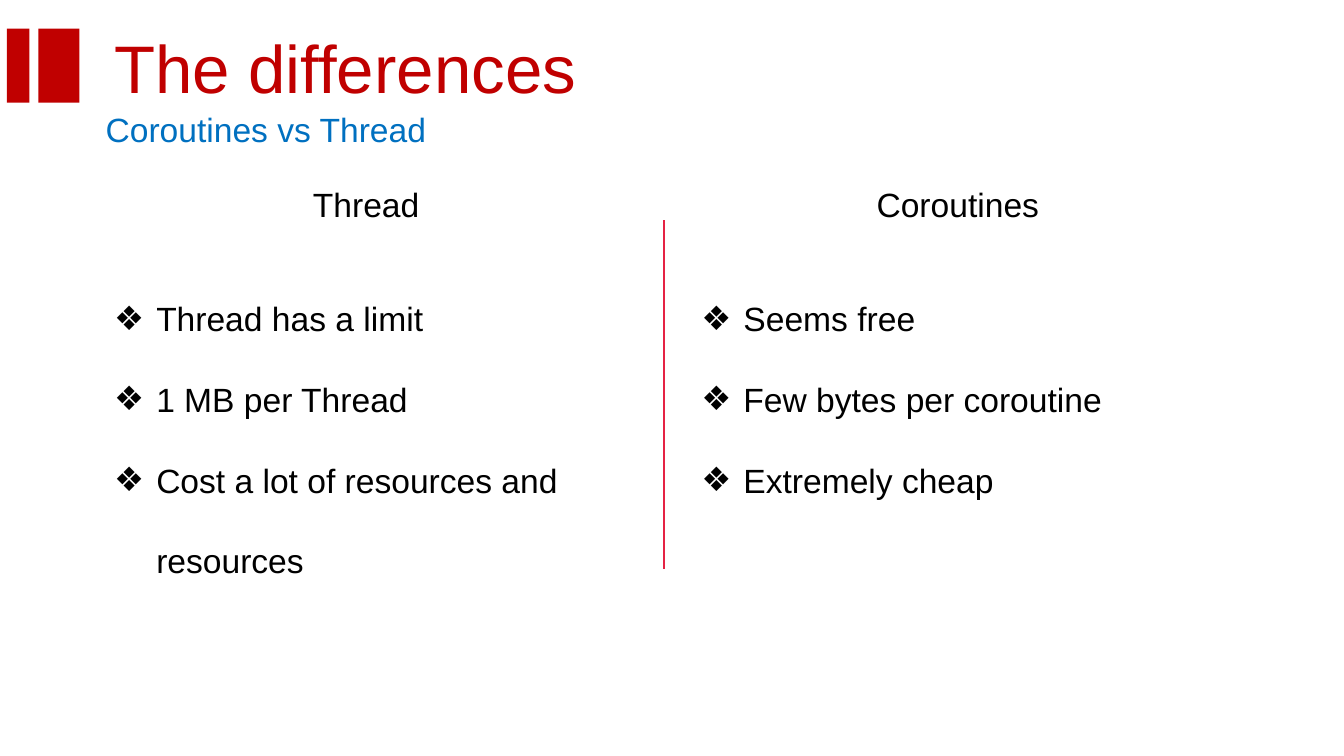
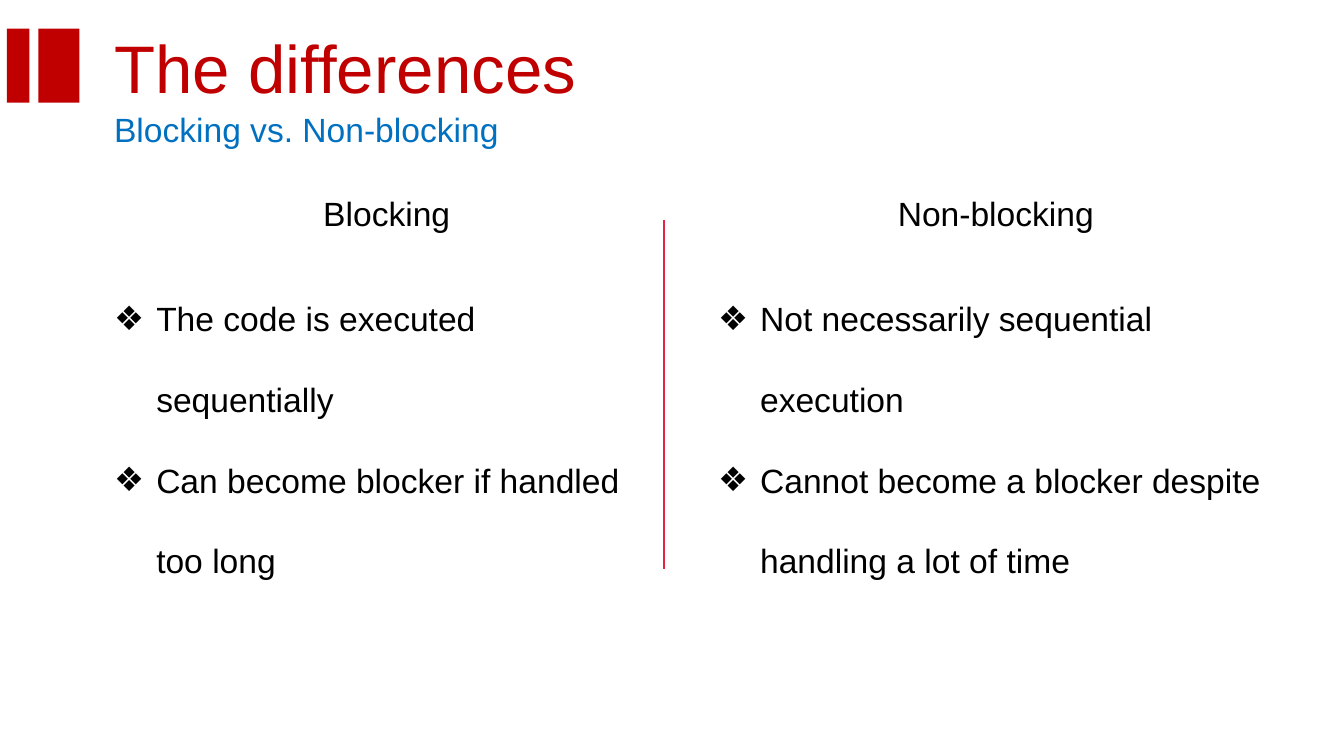
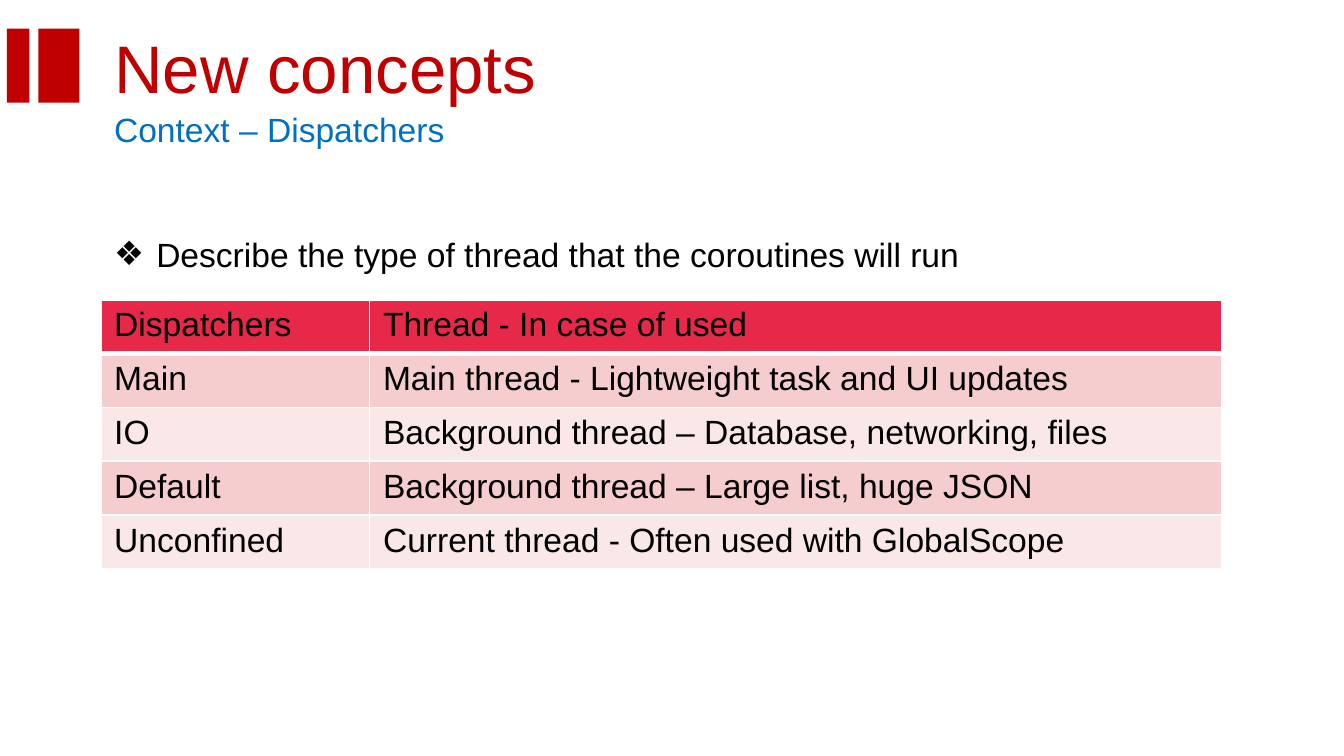
from lxml import etree
from pptx import Presentation
from pptx.dml.color import RGBColor
from pptx.enum.shapes import MSO_CONNECTOR, MSO_SHAPE
from pptx.enum.text import MSO_ANCHOR, MSO_AUTO_SIZE, PP_ALIGN
from pptx.oxml.ns import qn
from pptx.util import Pt

LEFT, CENTER = PP_ALIGN.LEFT, PP_ALIGN.CENTER
TOP, MIDDLE = MSO_ANCHOR.TOP, MSO_ANCHOR.MIDDLE
NO_AUTOFIT = MSO_AUTO_SIZE.NONE
RECTANGLE, STRAIGHT = MSO_SHAPE.RECTANGLE, MSO_CONNECTOR.STRAIGHT

# Shared style
FONT = "Arial"
TITLE_SIZE, TEXT_SIZE = 36, 18
RED = RGBColor(0xC0, 0x00, 0x00)
BLUE = RGBColor(0x00, 0x70, 0xC0)
BLACK = RGBColor(0x00, 0x00, 0x00)
WHITE = RGBColor(0xFF, 0xFF, 0xFF)
DIVIDER_RED = RGBColor(0xE5, 0x23, 0x44)
HEADER_RED = RGBColor(0xE6, 0x29, 0x49)
BAND_DARK = RGBColor(0xF5, 0xCD, 0xCF)
BAND_LIGHT = RGBColor(0xFA, 0xE7, 0xE8)

# Shared layout, in points
SLIDE_WIDTH, SLIDE_HEIGHT = 720, 405
MARGIN = 54
TITLE_TOP, TITLE_HEIGHT = 10.8, 49.7
SUBTITLE_TOP, LINE_HEIGHT = 54.7, 29
BAR_TOP, BAR_HEIGHT = 15.3, 39.7
BARS = [(3.7, 12), (20.6, 21.9)]  # left, width
BULLET, BULLET_INDENT = "❖", 22.5
DIVIDER_X, DIVIDER_TOP, DIVIDER_BOTTOM = 355.7, 118, 304.6
LIST_TOP, LIST_HEIGHT = 134.6, 185
HEADING_WIDTH = 193
TABLE_TOP, ROW_HEIGHT = 160.6, 28.8
COLUMN_WIDTHS = [144, 456.8]
THIN_BORDER, HEADER_BORDER = 0.96, 3

# Content
COMPARISONS = [
    {
        "title": "The differences",
        "subtitle": "Coroutines vs Thread",
        "subtitle_left": 49.5,
        "heading_top": 95,
        "columns": [
            {"heading": "Thread ", "heading_left": 102.2, "left": MARGIN, "width": 289.4,
             "items": ["Thread has a limit", "1 MB per Thread",
                       "Cost a lot of resources and resources"]},
            {"heading": "Coroutines", "heading_left": 416.6, "left": 368.6, "width": 289.4,
             "items": ["Seems free", "Few bytes per coroutine", "Extremely cheap"]},
        ],
    },
    {
        "title": "The differences",
        "subtitle": "Blocking vs. Non-blocking",
        "subtitle_left": MARGIN,
        "heading_top": 99.6,
        "columns": [
            {"heading": "Blocking ", "heading_left": 113.2, "left": MARGIN, "width": 289.4,
             "items": ["The code is executed sequentially",
                       "Can become blocker if handled too long"]},
            {"heading": "Non-blocking", "heading_left": 437, "left": 377.5, "width": 311.8,
             "items": ["Not necessarily sequential execution",
                       "Cannot become a blocker despite handling a lot of time"]},
        ],
    },
]
DISPATCHERS = {
    "title": "New concepts",
    "subtitle": "Context – Dispatchers",
    "subtitle_left": MARGIN,
    "items": ["Describe the type of thread that the coroutines will run"],
    "rows": [
        ("Dispatchers", "Thread - In case of used"),
        ("Main", "Main thread - Lightweight task and UI updates"),
        ("IO", "Background thread – Database, networking, files"),
        ("Default", "Background thread – Large list, huge JSON"),
        ("Unconfined", "Current thread - Often used with GlobalScope"),
    ],
}


# Text helpers
def add_run(paragraph, text, color=BLACK, size=TEXT_SIZE):
    run = paragraph.add_run()
    run.text = text
    run.font.name, run.font.size, run.font.bold = FONT, Pt(size), False
    run.font.color.rgb = color


def place(shape, left, top, width, height):
    shape.left, shape.top, shape.width, shape.height = map(Pt, (left, top, width, height))


def write_lines(shape, lines, color=BLACK, size=TEXT_SIZE, align=LEFT, anchor=TOP, spacing=1):
    frame = shape.text_frame
    frame.word_wrap, frame.auto_size, frame.vertical_anchor = True, NO_AUTOFIT, anchor
    for index, line in enumerate(lines):
        paragraph = frame.add_paragraph() if index else frame.paragraphs[0]
        paragraph.alignment, paragraph.line_spacing = align, float(spacing)
        paragraph.space_before = Pt(0)
        add_run(paragraph, line, color, size)


def write_bullets(shape, items, spacing):
    write_lines(shape, items, spacing=spacing)
    for paragraph in shape.text_frame.paragraphs:
        properties = paragraph._p.get_or_add_pPr()
        properties.set("marL", str(Pt(BULLET_INDENT)))
        properties.set("indent", str(-Pt(BULLET_INDENT)))
        bullet_color = etree.SubElement(properties, qn("a:buClr"))
        etree.SubElement(bullet_color, qn("a:srgbClr"), val=str(BLACK))
        etree.SubElement(properties, qn("a:buFont"), typeface=FONT)
        etree.SubElement(properties, qn("a:buChar"), char=BULLET)


# Parts of a slide
def start_slide(presentation, layout_name, content):
    layout = presentation.slide_layouts.get_by_name(layout_name)
    slide = presentation.slides.add_slide(layout)
    title = slide.shapes.title
    place(title, MARGIN, TITLE_TOP, 456, TITLE_HEIGHT)
    write_lines(title, [content["title"]], RED, TITLE_SIZE, anchor=MIDDLE)
    subtitle = slide.shapes.add_textbox(
        Pt(content["subtitle_left"]), Pt(SUBTITLE_TOP), Pt(295), Pt(LINE_HEIGHT))
    write_lines(subtitle, [content["subtitle"]], BLUE)
    for left, width in BARS:
        bar = slide.shapes.add_shape(
            RECTANGLE, Pt(left), Pt(BAR_TOP), Pt(width), Pt(BAR_HEIGHT))
        bar.shadow.inherit = False
        bar.fill.solid()
        bar.fill.fore_color.rgb = RED
        bar.line.fill.background()
    return slide


def add_divider(slide):
    divider = slide.shapes.add_connector(
        STRAIGHT, Pt(DIVIDER_X), Pt(DIVIDER_TOP), Pt(DIVIDER_X), Pt(DIVIDER_BOTTOM))
    divider.line.color.rgb = DIVIDER_RED
    divider.line.width = Pt(0.75)
    etree.SubElement(divider._element.spPr, qn("a:effectLst"))


def set_borders(cell, widths):
    properties = cell._tc.get_or_add_tcPr()
    for side, width in widths.items():
        line = etree.SubElement(properties, qn(f"a:ln{side}"), w=str(Pt(width)))
        fill = etree.SubElement(line, qn("a:solidFill"))
        etree.SubElement(fill, qn("a:srgbClr"), val=str(WHITE))


def add_dispatcher_table(slide, rows):
    table = slide.shapes.add_table(
        len(rows), len(COLUMN_WIDTHS), Pt(MARGIN), Pt(TABLE_TOP),
        Pt(sum(COLUMN_WIDTHS)), Pt(ROW_HEIGHT * len(rows))).table
    for column, width in zip(table.columns, COLUMN_WIDTHS):
        column.width = Pt(width)
    for row_index, row in enumerate(rows):
        table.rows[row_index].height = Pt(ROW_HEIGHT)
        band = BAND_DARK if row_index % 2 else BAND_LIGHT
        for column_index, text in enumerate(row):
            cell = table.cell(row_index, column_index)
            set_borders(cell, {
                "L": THIN_BORDER,
                "R": THIN_BORDER,
                "T": HEADER_BORDER if row_index == 1 else THIN_BORDER,
                "B": HEADER_BORDER if row_index == 0 else THIN_BORDER,
            })
            cell.fill.solid()
            cell.fill.fore_color.rgb = band if row_index else HEADER_RED
            add_run(cell.text_frame.paragraphs[0], text)


# Slides
def build_comparison(presentation, content):
    slide = start_slide(presentation, "Comparison", content)
    bodies = list(slide.placeholders)[1:]
    for column, heading, body in zip(content["columns"], bodies[::2], bodies[1::2]):
        place(heading, column["heading_left"], content["heading_top"],
              HEADING_WIDTH, LINE_HEIGHT)
        write_lines(heading, [column["heading"]], align=CENTER)
        place(body, column["left"], LIST_TOP, column["width"], LIST_HEIGHT)
        write_bullets(body, column["items"], 2)
    add_divider(slide)


def build_dispatchers(presentation, content):
    slide = start_slide(presentation, "Title and Content", content)
    body = slide.placeholders[1]
    place(body, MARGIN, 110.9, sum(COLUMN_WIDTHS), 39.6)
    write_bullets(body, content["items"], 1.5)
    add_dispatcher_table(slide, content["rows"])


def main():
    presentation = Presentation()
    presentation.slide_width, presentation.slide_height = Pt(SLIDE_WIDTH), Pt(SLIDE_HEIGHT)
    for content in COMPARISONS:
        build_comparison(presentation, content)
    build_dispatchers(presentation, DISPATCHERS)
    presentation.save("out.pptx")


if __name__ == "__main__":
    main()
